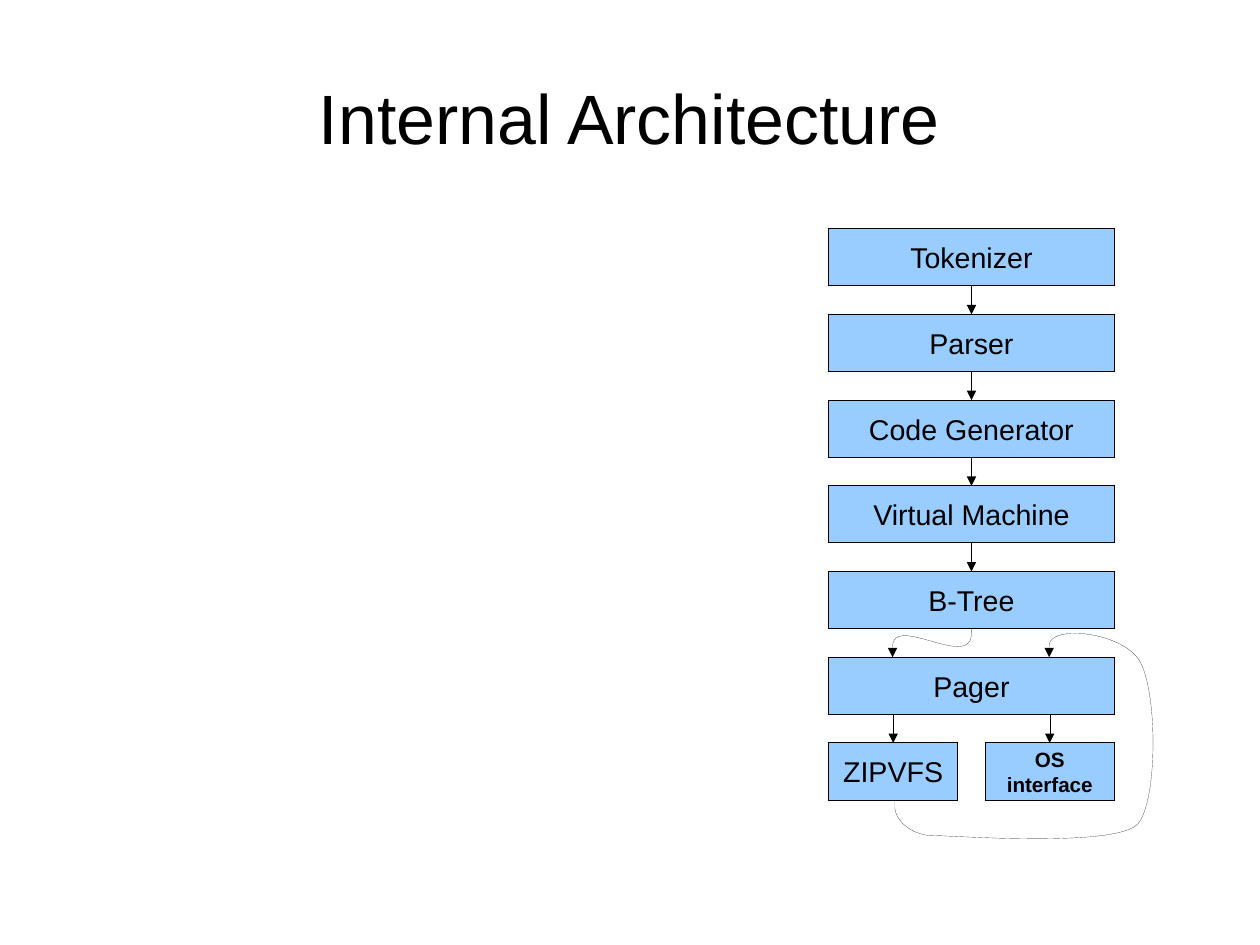
from lxml.etree import SubElement
from pptx import Presentation
from pptx.dml.color import RGBColor
from pptx.enum.shapes import MSO_CONNECTOR, MSO_SHAPE
from pptx.enum.text import MSO_ANCHOR, PP_ALIGN
from pptx.oxml.ns import qn
from pptx.util import Inches, Pt

POINTS_PER_INCH = 72
PAGE_WIDTH = 793.75 / POINTS_PER_INCH
PAGE_HEIGHT = 595.25 / POINTS_PER_INCH
BLACK = "000000"
LIGHT_BLUE = "99CCFF"
LAYERS = ["Tokenizer", "Parser", "Code Generator", "Virtual Machine", "B-Tree", "Pager"]
BOX_HEIGHT = 0.5
ROW_STEP = 0.75
SMALL_WIDTH = 1.13
CURVE_STEPS = 24

# Each curve: start, cubic segments (two controls and an end), tip; relative to the diagram.
BTREE_TO_PAGER = (
    (1.25, 3.5),
    [((1.25, 3.54), (1.25, 3.87), (0.56, 3.36), (0.56, 3.66))],
    (0.56, 3.75),
)
ZIPVFS_TO_PAGER = (
    (0.58, 5),
    [
        ((0.58, 5.07), (0.59, 5.19), (0.74, 5.31), (0.91, 5.31)),
        ((0.91, 5.31), (1.09, 5.31), (2.41, 5.41), (2.68, 5.23)),
        ((2.68, 5.23), (2.89, 5.1), (2.89, 3.94), (2.69, 3.74)),
        ((2.69, 3.74), (2.5, 3.52), (1.93, 3.47), (1.93, 3.65)),
    ],
    (1.93, 3.75),
)


def color(hex_string):
    return RGBColor.from_string(hex_string)


def write(shape, text, size, bold=False):
    frame = shape.text_frame
    frame.word_wrap = True
    frame.vertical_anchor = MSO_ANCHOR.MIDDLE
    para = frame.paragraphs[0]
    para.text = text
    para.alignment = PP_ALIGN.CENTER
    para.font.name = "Arial"
    para.font.size = Pt(size)
    para.font.bold = bold
    para.font.color.rgb = color(BLACK)


def set_hairline(shape):
    """Draw a black line of width zero, written out so the style's width does not apply."""
    shape.line.color.rgb = color(BLACK)
    shape.element.spPr.find(qn("a:ln")).set("w", "0")


def add_arrowhead(shape):
    SubElement(shape.element.spPr.find(qn("a:ln")), qn("a:tailEnd"), type="triangle")


def add_title(page, left, top, width, height):
    box = page.shapes.add_textbox(Inches(left), Inches(top), Inches(width), Inches(height))
    frame = box.text_frame
    frame.margin_left = frame.margin_right = frame.margin_top = frame.margin_bottom = 0
    write(box, "Internal Architecture", 44)


def add_box(page, text, left, top, width, size=18, bold=False):
    box = page.shapes.add_shape(
        MSO_SHAPE.RECTANGLE, Inches(left), Inches(top), Inches(width), Inches(BOX_HEIGHT)
    )
    box.shadow.inherit = False
    box.fill.solid()
    box.fill.fore_color.rgb = color(LIGHT_BLUE)
    set_hairline(box)
    write(box, text, size, bold)
    return box


def add_down_arrow(page, upper, lower):
    """Drop a vertical arrow from the upper box to the top middle of the lower one."""
    center = lower.left + lower.width // 2
    arrow = page.shapes.add_connector(
        MSO_CONNECTOR.STRAIGHT, center, upper.top + upper.height, center, lower.top
    )
    if upper.left + upper.width // 2 == center:
        arrow.begin_connect(upper, 2)
    arrow.end_connect(lower, 0)
    set_hairline(arrow)
    add_arrowhead(arrow)
    SubElement(arrow.element.spPr, qn("a:effectLst"))


def cubic_point(controls, t):
    weights = ((1 - t) ** 3, 3 * t * (1 - t) ** 2, 3 * t**2 * (1 - t), t**3)
    return tuple(sum(w * p[axis] for w, p in zip(weights, controls)) for axis in (0, 1))


def add_curved_arrow(page, left, top, curve):
    start, segments, tip = curve
    points = [start]
    for controls in segments:
        points += [cubic_point(controls, step / CURVE_STEPS) for step in range(CURVE_STEPS + 1)]
    points.append(tip)
    places = [(Inches(left + x), Inches(top + y)) for x, y in points]
    builder = page.shapes.build_freeform(*places[0])
    builder.add_line_segments(places[1:], close=False)
    arrow = builder.convert_to_shape()
    arrow.shadow.inherit = False
    arrow.fill.background()
    set_hairline(arrow)
    add_arrowhead(arrow)


def add_architecture(page, left, top, width):
    layers = [
        add_box(page, name, left, top + row * ROW_STEP, width)
        for row, name in enumerate(LAYERS)
    ]
    bottom = top + len(LAYERS) * ROW_STEP
    zipvfs = add_box(page, "ZIPVFS", left, bottom, SMALL_WIDTH)
    system = add_box(
        page, "OS interface", left + width - SMALL_WIDTH, bottom, SMALL_WIDTH, 13, True
    )
    pager = layers[-1]
    straight = list(zip(layers, layers[1:-1])) + [(pager, zipvfs), (pager, system)]
    for upper, lower in straight:
        add_down_arrow(page, upper, lower)
    for curve in (BTREE_TO_PAGER, ZIPVFS_TO_PAGER):
        add_curved_arrow(page, left, top, curve)


def main():
    deck = Presentation()
    deck.slide_width = Inches(PAGE_WIDTH)
    deck.slide_height = Inches(PAGE_HEIGHT)
    page = deck.slides.add_slide(deck.slide_layouts[6])
    add_title(page, 0.55, 0.33, 9.92, 1.38)
    add_architecture(page, 7.25, 2, 2.5)
    deck.save("out.pptx")


if __name__ == "__main__":
    main()
